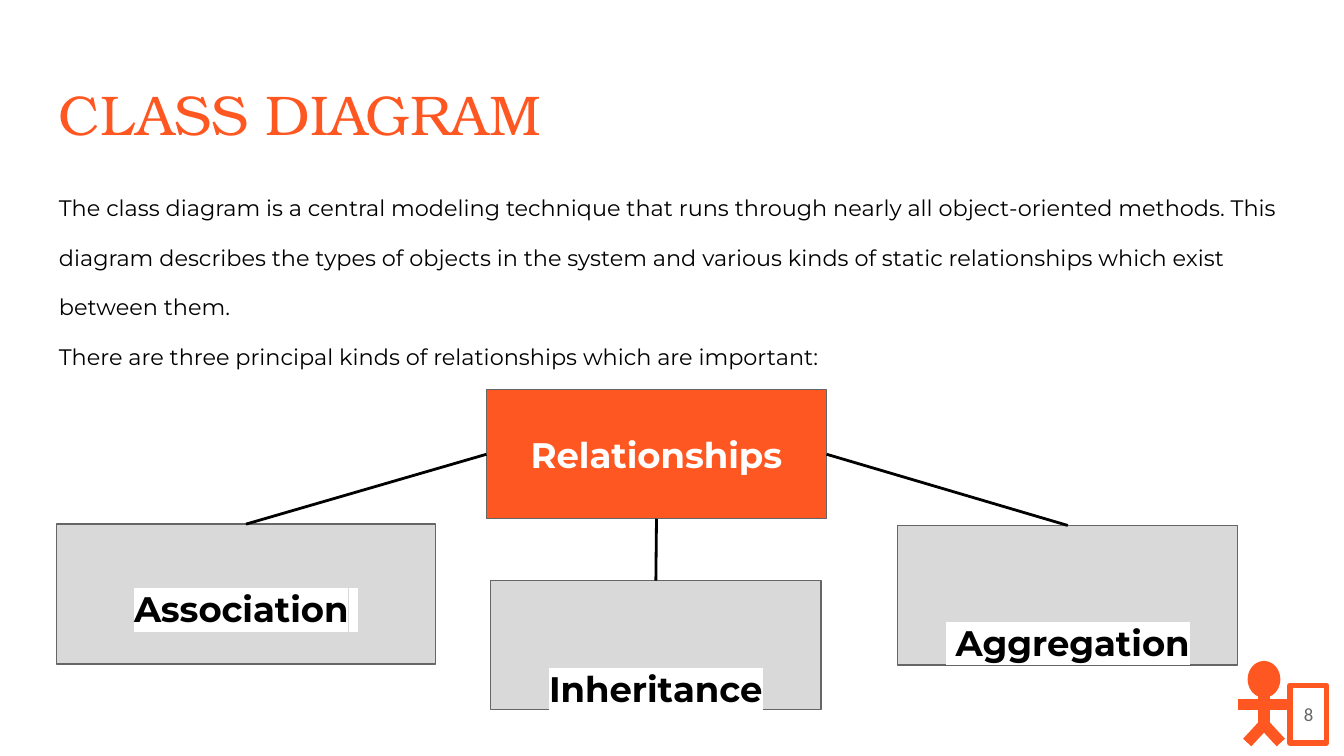
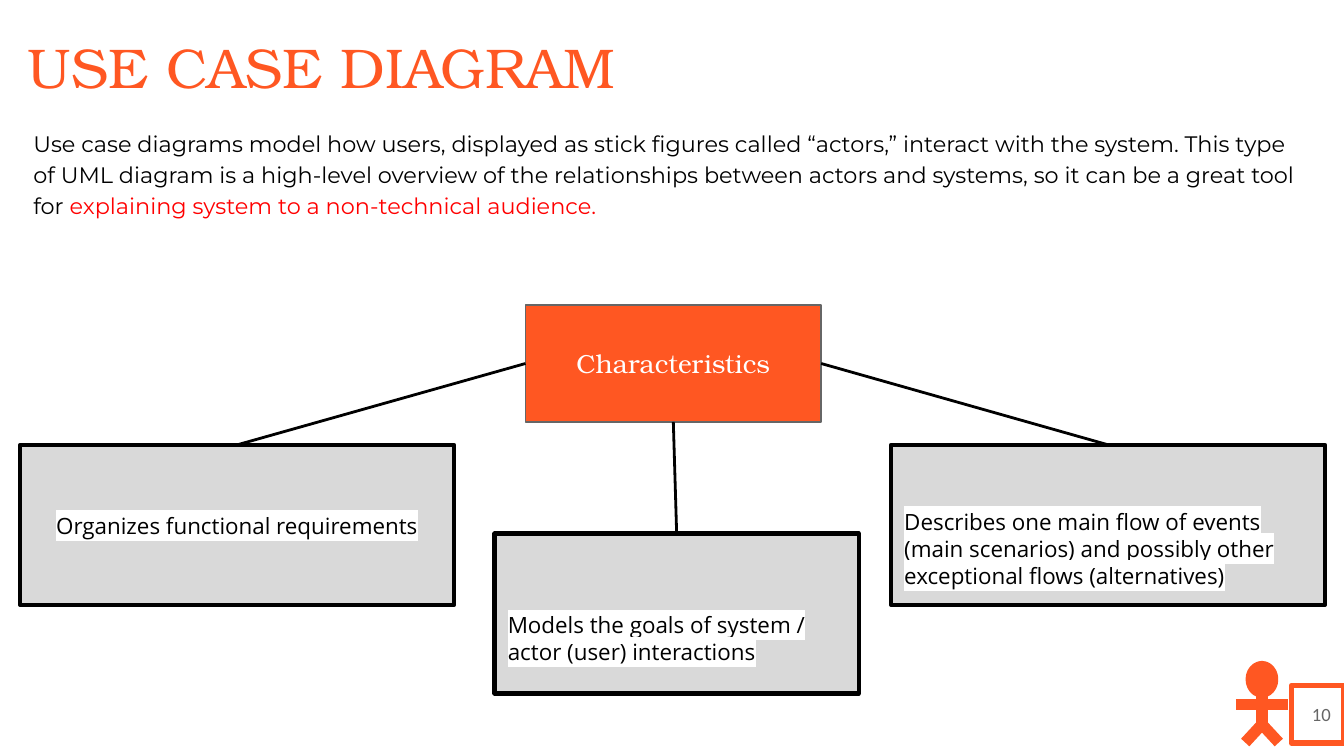
"""Build two UML slides, each with a hub box linked to three cards."""
from dataclasses import dataclass
from typing import NamedTuple

from lxml import etree
from pptx import Presentation
from pptx.dml.color import RGBColor
from pptx.enum import shapes, text
from pptx.oxml import ns
from pptx.util import Emu, Inches, Pt

WIDTH, HEIGHT = Inches(10), Inches(5.625)
COLS = 100
CELL = WIDTH // COLS
PAD = 1


@dataclass(frozen=True)
class Theme:
    """Colours, faces, type sizes and line widths."""

    brand: str = "FF5722"
    paper: str = "FFFFFF"
    ink: str = "000000"
    alert: str = "FF0000"
    card: str = "D9D9D9"
    edge: str = "666666"
    serif: str = "TeX Gyre Bonum"
    sans: str = "Montserrat"
    plain: str = "Open Sans"
    digit: str = "Calibri"
    title: float = 30
    body: float = 12
    label: float = 19
    hub: float = 14
    page: float = 10
    thin: float = 0.75
    link: float = 1.5
    thick: float = 2.25
    frame: float = 3
    limb: float = 6


T = Theme()
ALIGN = text.PP_ALIGN


class Box(NamedTuple):
    """A place in grid cells."""

    x: float
    y: float
    w: float
    h: float


class Run(NamedTuple):
    """Words in one style."""

    words: str
    hue: str = T.ink
    bold: bool = False


class Card(NamedTuple):
    """A grey box whose text starts some rows below its top."""

    box: Box
    drop: float
    runs: tuple[Run, ...]
    align: ALIGN = ALIGN.CENTER


class Page(NamedTuple):
    """All that differs between the slides."""

    title: str
    head: Box
    body: Box
    paras: tuple[tuple[Run, ...], ...]
    lead: float
    hub: Run
    spot: Box
    hub_face: str
    hub_size: float
    cards: tuple[Card, ...]
    face: str
    size: float
    edge: str
    rule: float
    spine: float
    number: str
    badge: Box


def cell(n: float) -> Emu:
    """Turn grid cells into a length."""
    return Emu(round(n * CELL))


def place(box: Box) -> tuple[Emu, ...]:
    """Turn a box into lengths."""
    return tuple(cell(n) for n in box)


def rgb(hue: str) -> RGBColor:
    """Turn a hex string into a colour."""
    return RGBColor.from_string(hue)


def write(frame, paras, *, face: str, size: float, align=ALIGN.LEFT, lead: float = 1,
          mark: bool = False, drop: float = PAD, foot: float = PAD,
          anchor=text.MSO_ANCHOR.TOP) -> None:
    """Fill a text frame with paragraphs of runs."""
    frame.word_wrap = True
    frame.vertical_anchor = anchor
    frame.margin_left = frame.margin_right = cell(PAD)
    frame.margin_top, frame.margin_bottom = cell(drop), cell(foot)
    for i, runs in enumerate(paras):
        par = frame.add_paragraph() if i else frame.paragraphs[0]
        par.alignment, par.line_spacing = align, lead
        for item in runs:
            run = par.add_run()
            run.text = item.words
            font = run.font
            font.name, font.size, font.bold = face, Pt(size), item.bold
            font.color.rgb = rgb(item.hue)
            if mark:
                high = etree.Element(ns.qn("a:highlight"))
                etree.SubElement(high, ns.qn("a:srgbClr"), val=T.paper)
                run.font._element.find(ns.qn("a:solidFill")).addnext(high)


def draw(pen, kind, box: Box, fill: str | None, edge: str, rule: float):
    """Add a preset shape."""
    shape = pen.add_shape(kind, *place(box))
    shape.shadow.inherit = False
    if fill:
        shape.fill.solid()
        shape.fill.fore_color.rgb = rgb(fill)
    else:
        shape.fill.background()
    shape.line.color.rgb = rgb(edge)
    shape.line.width = Pt(rule)
    return shape


def line(pen, ends: tuple[float, ...], hue: str, rule: float):
    """Add a straight line between two grid points."""
    wire = pen.add_connector(shapes.MSO_CONNECTOR.STRAIGHT, *map(cell, ends))
    wire.line.color.rgb = rgb(hue)
    wire.line.width = Pt(rule)
    etree.SubElement(wire._element.spPr, ns.qn("a:effectLst"))
    return wire


def actor(pen, x: float) -> None:
    """Draw the stick figure around its spine."""
    pen = pen.add_group_shape().shapes
    draw(pen, shapes.MSO_SHAPE.OVAL, Box(x - 0.8, 49.6, 1.6, 1.9),
         T.brand, T.brand, T.limb)
    hip = 53.9
    limbs = ((x, 51.5, x, hip), (x, hip, x + 1.25, 55.25),
             (x, hip, x - 1.25, 55.25), (x - 1.95, 52.4, x + 1.95, 52.4))
    for ends in limbs:
        line(pen, ends, T.brand, T.limb)


def build(deck, page: Page) -> None:
    """Lay out one slide."""
    pen = deck.slides.add_slide(deck.slide_layouts[6]).shapes
    rect, mid = shapes.MSO_SHAPE.RECTANGLE, text.MSO_ANCHOR.MIDDLE
    write(pen.add_textbox(*place(page.head)).text_frame, ((Run(page.title, T.brand),),),
          face=T.serif, size=T.title)
    write(pen.add_textbox(*place(page.body)).text_frame, page.paras,
          face=T.sans, size=T.body, lead=page.lead, mark=True)
    hub = draw(pen, rect, page.spot, T.brand, T.edge, T.thin)
    write(hub.text_frame, ((page.hub,),), face=page.hub_face, size=page.hub_size,
          align=ALIGN.CENTER, anchor=mid)
    for site, card in enumerate(page.cards, 1):
        shape = draw(pen, rect, card.box, T.card, page.edge, page.rule)
        write(shape.text_frame, (card.runs,), face=page.face, size=page.size,
              align=card.align, mark=True, drop=card.drop, foot=0)
        wire = line(pen, (0, 0, 0, 0), T.ink, T.link)
        wire.begin_connect(hub, site)
        wire.end_connect(shape, 0)
    actor(pen, page.spine)
    badge = draw(pen, rect, page.badge, None, T.brand, T.frame)
    write(badge.text_frame, ((Run(page.number, T.edge),),), face=T.digit, size=T.page,
          align=ALIGN.RIGHT, anchor=mid)


PAGES = (
    Page(
        title="CLASS DIAGRAM",
        head=Box(3.4, 4.9, 93.2, 6.3),
        body=Box(3.4, 11.7, 93.2, 37.4),
        paras=(
            (Run("The class diagram is a central modeling technique that runs through "
                 "nearly all object-oriented methods. This diagram describes the types "
                 "of objects in the system and various kinds of static relationships "
                 "which exist between them."),),
            (Run("There are three principal kinds of relationships which are "
                 "important:"),),
        ),
        lead=1.86,
        hub=Run("Relationships", T.paper, True),
        spot=Box(36.2, 29, 25.3, 9.6),
        hub_face=T.sans,
        hub_size=T.label,
        cards=(
            Card(Box(4.2, 39, 28.2, 10.4), 4.7,
                 (Run("Association", bold=True), Run(" "))),
            Card(Box(36.5, 43.2, 24.6, 9.6), 6.4, (Run("Inheritance", bold=True),)),
            Card(Box(66.8, 39.1, 25.3, 10.4), 7.1, (Run(" Aggregation", bold=True),)),
        ),
        face=T.sans,
        size=T.label,
        edge=T.edge,
        rule=T.thin,
        spine=94.05,
        number="8",
        badge=Box(96, 51, 2.7, 4.3),
    ),
    Page(
        title="USE CASE DIAGRAM",
        head=Box(1.1, 1.4, 93.2, 6.3),
        body=Box(1.5, 8.4, 96.6, 43.2),
        paras=(
            (Run("Use case diagrams model how users, displayed as stick figures called "
                 "“actors,” interact with the system. This type of UML diagram is a "
                 "high-level overview of the relationships between actors and systems, "
                 "so it can be a great tool for"),
             Run(" explaining system to a non-technical audience.", T.alert)),
        ),
        lead=1.15,
        hub=Run("Characteristics", T.paper),
        spot=Box(39.1, 22.7, 22, 8.7),
        hub_face=T.serif,
        hub_size=T.hub,
        cards=(
            Card(Box(1.5, 33.1, 32.3, 11.9), 5,
                 (Run("Organizes functional requirements"),)),
            Card(Box(36.8, 39.7, 27.1, 11.9), 5.8,
                 (Run("Models the goals of system / actor (user) interactions"),),
                 ALIGN.LEFT),
            Card(Box(66.3, 33.1, 32.3, 11.9), 4.7,
                 (Run("Describes one main flow of events (main scenarios) and possibly "
                      "other exceptional flows (alternatives)"),), ALIGN.LEFT),
        ),
        face=T.plain,
        size=T.body,
        edge=T.ink,
        rule=T.thick,
        spine=93.9,
        number="10",
        badge=Box(96.1, 51, 3.9, 4.3),
    ),
)


def main() -> None:
    """Build and save the deck."""
    deck = Presentation()
    deck.slide_width, deck.slide_height = WIDTH, HEIGHT
    for page in PAGES:
        build(deck, page)
    deck.save("out.pptx")


if __name__ == "__main__":
    main()
